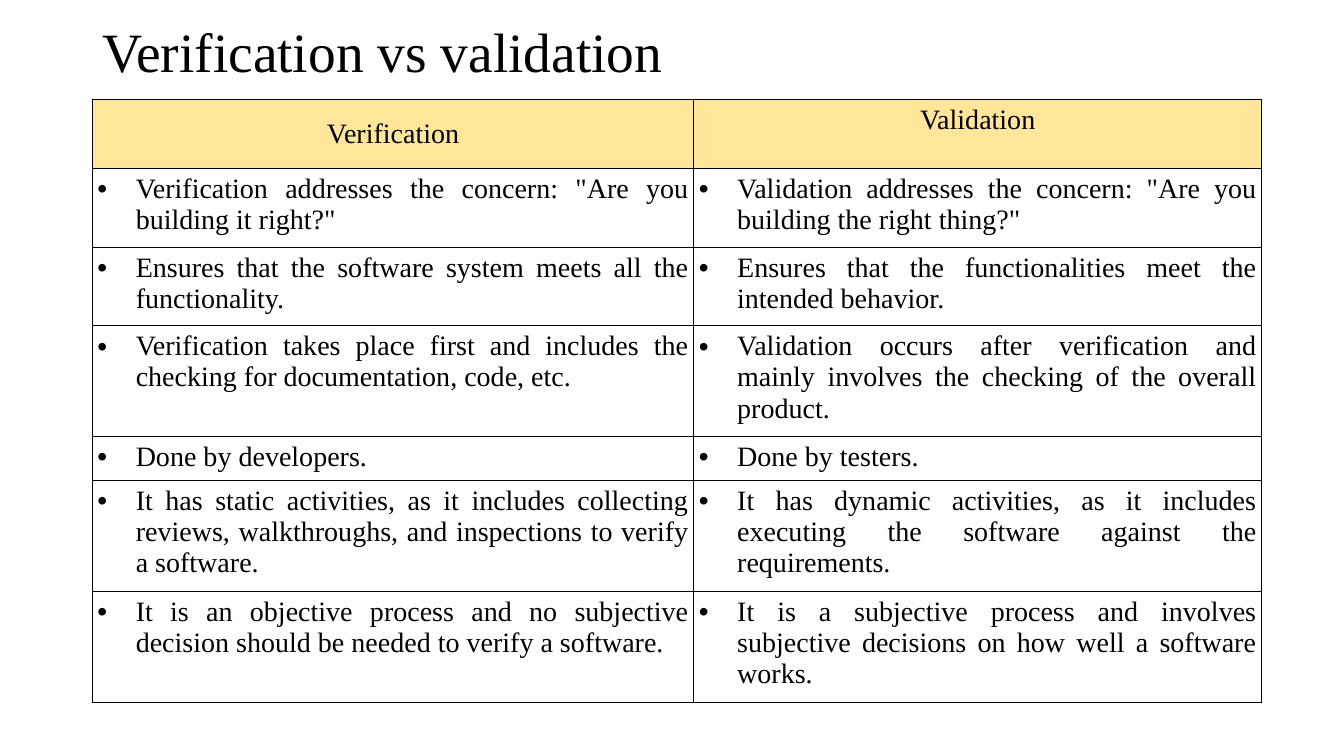
from lxml import etree
from pptx import Presentation
from pptx.dml.color import RGBColor
from pptx.enum.text import MSO_ANCHOR, PP_ALIGN
from pptx.oxml.ns import qn
from pptx.util import Inches, Pt

TOP, MIDDLE = MSO_ANCHOR.TOP, MSO_ANCHOR.MIDDLE
LEFT, CENTER, JUSTIFY = PP_ALIGN.LEFT, PP_ALIGN.CENTER, PP_ALIGN.JUSTIFY
BLACK = RGBColor(0x00, 0x00, 0x00)
WHITE = RGBColor(0xFF, 0xFF, 0xFF)
CREAM = RGBColor(0xFF, 0xE6, 0x99)
FONT = "Times New Roman"
COLS, ROWS = 160, 90

TITLE = "Verification vs validation"
HEADS = [("Verification", MIDDLE), ("Validation", TOP)]
PAIRS = [
    ('Verification addresses the concern: "Are you building it right?"',
     'Validation addresses the concern: "Are you building the right thing?"'),
    ("Ensures that the software system meets all the functionality.",
     "Ensures that the functionalities meet the intended behavior."),
    ("Verification takes place first and includes the checking for "
     "documentation, code, etc.",
     "Validation occurs after verification and mainly involves the checking "
     "of the overall product."),
    ("Done by developers.", "Done by testers."),
    ("It has static activities, as it includes collecting reviews, "
     "walkthroughs, and inspections to verify a software.",
     "It has dynamic activities, as it includes executing the software "
     "against the requirements."),
    ("It is an objective process and no subjective decision should be needed "
     "to verify a software.",
     "It is a subjective process and involves subjective decisions on how "
     "well a software works."),
]
WIDTHS = [71.6, 67.6]
SHORT, MID, TALL = 4.9, 9.37, 12.27
HEIGHTS = [8.25, MID, MID, TALL, SHORT, TALL, TALL]


class Deck:
    """Holds the style and the current slide."""

    def __init__(self):
        """Start a deck with one blank slide and a fine grid."""
        self.prs = Presentation()
        self.prs.slide_width = Inches(13.33)
        self.prs.slide_height = Inches(7.5)
        self.slide = self.prs.slides.add_slide(self.prs.slide_layouts[6])

    def across(self, n):
        """Turn grid columns into a length."""
        return round(self.prs.slide_width * n / COLS)

    def down(self, n):
        """Turn grid rows into a length."""
        return round(self.prs.slide_height * n / ROWS)

    def label(self, para, text, size, align):
        """Fill a paragraph with styled text."""
        para.text, para.alignment = text, align
        font = para.font
        font.name, font.size = FONT, Pt(size)
        font.color.rgb = BLACK

    def title(self, text, x, y, w, h):
        """Add the slide's heading."""
        box = self.slide.shapes.add_textbox(
            self.across(x), self.down(y), self.across(w), self.down(h))
        frame = box.text_frame
        frame.word_wrap, frame.vertical_anchor = True, MIDDLE
        para = frame.paragraphs[0]
        para.line_spacing = 0.9
        self.label(para, text, 39.6, LEFT)

    def grid(self, x, y, widths, heights):
        """Add a plain table and return it."""
        table = self.slide.shapes.add_table(
            len(heights), len(widths), self.across(x), self.down(y),
            self.across(sum(widths)), self.down(sum(heights))).table
        table.first_row = table.horz_banding = False
        for col, n in zip(table.columns, widths):
            col.width = self.across(n)
        for row, n in zip(table.rows, heights):
            row.height = self.down(n)
        return table

    def cell(self, cell, text, fill, align, anchor=TOP, dot=False):
        """Style one table cell and set its text."""
        cell.margin_left = cell.margin_right = Inches(0.05)
        cell.margin_top = cell.margin_bottom = Inches(0.05)
        cell.vertical_anchor = anchor
        self.edge(cell)
        cell.fill.solid()
        cell.fill.fore_color.rgb = fill
        para = cell.text_frame.paragraphs[0]
        if dot:
            self.bullet(para)
        self.label(para, text, 20, align)

    def edge(self, cell):
        """Draw a thin black line on all four sides of a cell."""
        props = cell._tc.get_or_add_tcPr()
        for side in "LRTB":
            line = etree.SubElement(props, qn(f"a:ln{side}"), w=str(Pt(1)))
            fill = etree.SubElement(line, qn("a:solidFill"))
            etree.SubElement(fill, qn("a:srgbClr"), val=str(BLACK))

    def bullet(self, para):
        """Give a paragraph a hanging bullet."""
        props = para._p.get_or_add_pPr()
        props.set("marL", str(Inches(0.38)))
        props.set("indent", str(-Inches(0.38)))
        etree.SubElement(props, qn("a:buFont"), typeface="Arial")
        etree.SubElement(props, qn("a:buChar"), char="•")


def main():
    """Build and save the slide."""
    deck = Deck()
    deck.title(TITLE, 11, 2.64, 138, 7.7)
    table = deck.grid(11, 11.8, WIDTHS, HEIGHTS)
    for c, (text, anchor) in enumerate(HEADS):
        deck.cell(table.cell(0, c), text, CREAM, CENTER, anchor)
    for r, pair in enumerate(PAIRS, 1):
        for c, text in enumerate(pair):
            deck.cell(table.cell(r, c), text, WHITE, JUSTIFY, dot=True)
    deck.prs.save("out.pptx")


main()
